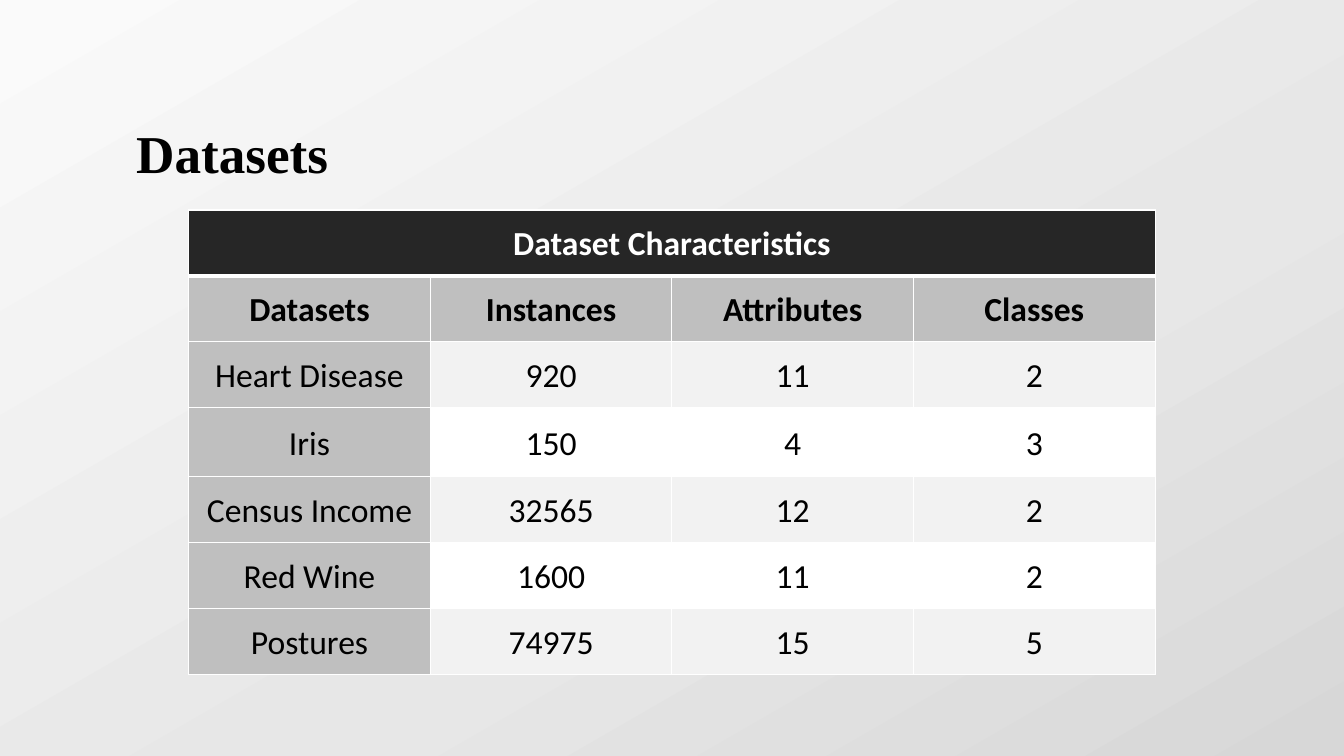
import copy

import lxml.etree
import pptx
import pptx.dml.color
import pptx.enum.text
import pptx.oxml.ns
import pptx.util

Pt = pptx.util.Pt
RGBColor = pptx.dml.color.RGBColor
qn = pptx.oxml.ns.qn

BLACK = RGBColor(0x00, 0x00, 0x00)
WHITE = RGBColor(0xFF, 0xFF, 0xFF)
DARK = RGBColor(0x26, 0x26, 0x26)
GREY = RGBColor(0xBF, 0xBF, 0xBF)
PALE = RGBColor(0xF2, 0xF2, 0xF2)
BACKGROUND_STOPS = [
    (0, RGBColor(0xFA, 0xFA, 0xFA)),
    (0.61, RGBColor(0xE7, 0xE7, 0xE7)),
    (1, RGBColor(0xD7, 0xD7, 0xD7)),
]

ROWS = [
    ["Dataset Characteristics", "", "", ""],
    ["Datasets", "Instances", "Attributes", "Classes"],
    ["Heart Disease", "920", "11", "2"],
    ["Iris", "150", "4", "3"],
    ["Census Income", "32565", "12", "2"],
    ["Red Wine", "1600", "11", "2"],
    ["Postures", "74975", "15", "5"],
]
ROW_HEIGHTS = [47.1, 47.1, 47.1, 49.2, 47.1, 47.1, 47.1]
COLUMN_WIDTH = 172.6


def add_border(cell, side, width):
    properties = cell._tc.get_or_add_tcPr()
    line = lxml.etree.SubElement(properties, qn(f"a:ln{side}"), w=str(Pt(width)))
    fill = lxml.etree.SubElement(line, qn("a:solidFill"))
    lxml.etree.SubElement(fill, qn("a:srgbClr"), val=str(WHITE))


presentation = pptx.Presentation()
presentation.slide_width = Pt(960)
presentation.slide_height = Pt(540)
slide = presentation.slides.add_slide(presentation.slide_layouts[5])

background = slide.background.fill
background.gradient()
background.gradient_angle = 300
stop_list = slide._element.find(".//" + qn("a:gsLst"))
stop_list.insert(1, copy.deepcopy(stop_list[0]))
for stop, (position, color) in zip(background.gradient_stops, BACKGROUND_STOPS):
    stop.position = position
    stop.color.rgb = color

title = slide.shapes.title
title.left, title.top, title.width, title.height = Pt(90), Pt(57), Pt(784), Pt(80.5)
title.text_frame.text = "Datasets"
title.text_frame.vertical_anchor = pptx.enum.text.MSO_ANCHOR.MIDDLE
paragraph = title.text_frame.paragraphs[0]
paragraph.alignment = pptx.enum.text.PP_ALIGN.LEFT
paragraph.line_spacing = 1.5
paragraph.font.name = "Times New Roman"
paragraph.font.size = Pt(38)
paragraph.font.bold = True
paragraph.font.color.rgb = BLACK

table = slide.shapes.add_table(
    len(ROWS), 4, Pt(134.8), Pt(150), Pt(4 * COLUMN_WIDTH), Pt(sum(ROW_HEIGHTS))
).table
for column in table.columns:
    column.width = Pt(COLUMN_WIDTH)
for row, height in zip(table.rows, ROW_HEIGHTS):
    row.height = Pt(height)
table.cell(0, 0).merge(table.cell(0, 3))

for row_index, values in enumerate(ROWS):
    for column_index, value in enumerate(values):
        cell = table.cell(row_index, column_index)
        for side in "LRTB":
            heading_edge = (row_index, side) in [(0, "B"), (1, "T")]
            add_border(cell, side, 3 if heading_edge else 1)
        if row_index == 0:
            color = DARK
        elif row_index == 1 or column_index == 0:
            color = GREY
        else:
            color = PALE if row_index % 2 == 0 else WHITE
        cell.fill.solid()
        cell.fill.fore_color.rgb = color
        cell.margin_left = cell.margin_right = Pt(5)
        cell.margin_top = cell.margin_bottom = 0
        cell.vertical_anchor = pptx.enum.text.MSO_ANCHOR.MIDDLE
        if not value:
            continue
        cell.text = value
        paragraph = cell.text_frame.paragraphs[0]
        paragraph.alignment = pptx.enum.text.PP_ALIGN.CENTER
        paragraph.line_spacing = 1.07
        paragraph.font.name = "Calibri"
        paragraph.font.size = Pt(24)
        paragraph.font.bold = row_index < 2
        paragraph.font.color.rgb = WHITE if row_index == 0 else BLACK

presentation.save("out.pptx")
